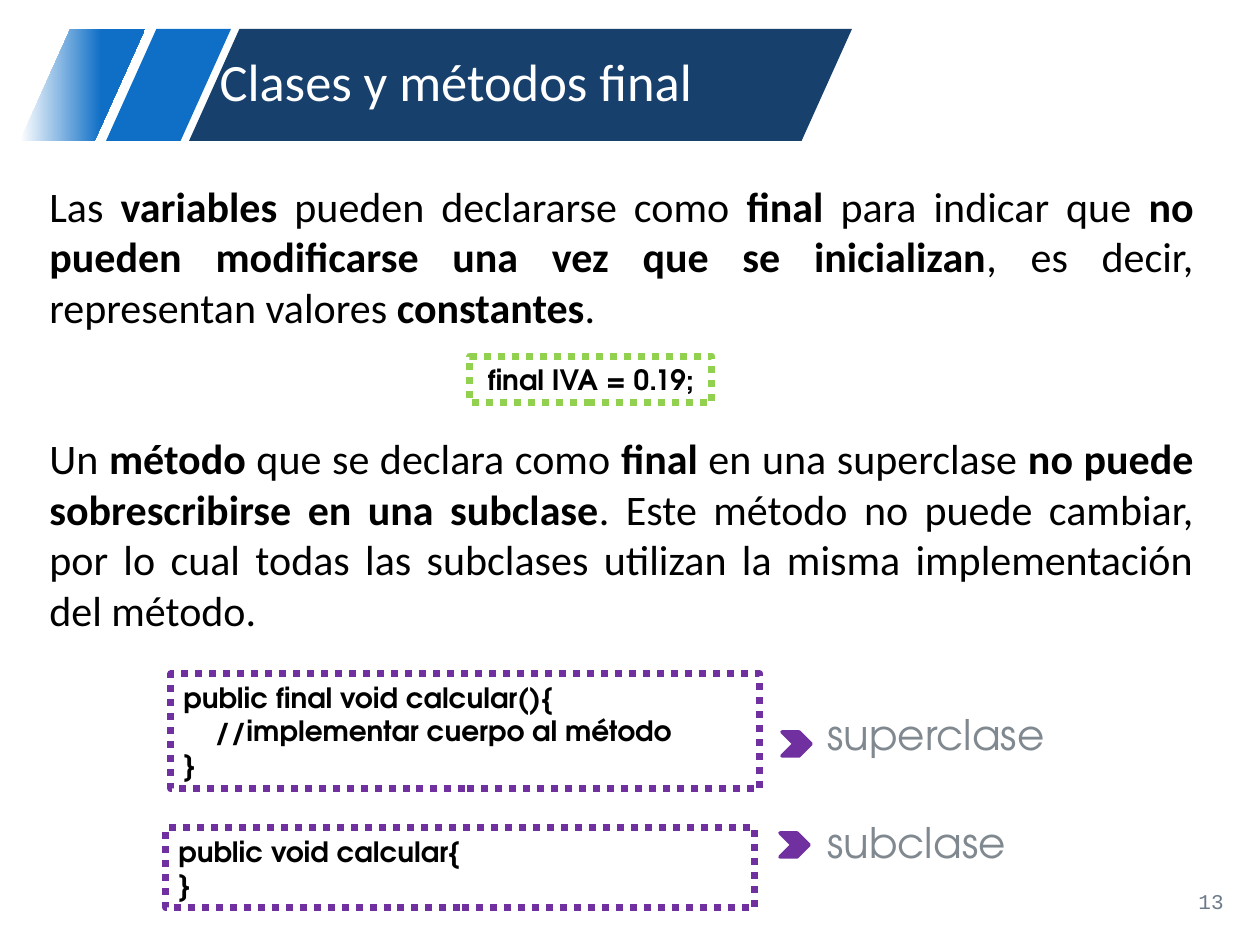
"""Build the slide on final classes and methods."""
from pptx import Presentation
from pptx.dml.color import RGBColor
from pptx.enum.dml import MSO_LINE
from pptx.enum.shapes import MSO_SHAPE
from pptx.enum.text import MSO_ANCHOR, MSO_AUTO_SIZE, PP_ALIGN
from pptx.util import Emu, Pt

SLANT, RECT, ARROW = MSO_SHAPE.PARALLELOGRAM, MSO_SHAPE.RECTANGLE, MSO_SHAPE.CHEVRON
LEFT, MID, RIGHT, JUST = PP_ALIGN.LEFT, PP_ALIGN.CENTER, PP_ALIGN.RIGHT, PP_ALIGN.JUSTIFY
DOTS = MSO_LINE.ROUND_DOT
SCALE = 914400 / 126
SANS, MONO, CODE = "Calibri", "Courier New", "TeX Gyre Adventor"
WHITE, BLACK, BLUE, NAVY = "FFFFFF", "000000", "0F6FC6", "17406D"
GREEN, PURPLE, GRAY, SLATE = "92D050", "7030A0", "818990", "6C7A8A"

TITLE = "Clases y métodos final"
BODY = [
    "Las *variables* pueden declararse como *final* para indicar que "
    "*no pueden modificarse una vez que se inicializan*, es decir, "
    "representan valores *constantes*.",
    "Un *método* que se declara como *final* en una superclase "
    "*no puede sobrescribirse en una subclase*. Este método no puede cambiar, "
    "por lo cual todas las subclases utilizan la misma implementación del método.",
]
ROLES = ["superclase", "subclase"]
BANDS = [(106, 125, BLUE), (20, 125, None), (189, 663, NAVY)]
CODES = [
    ((470, 356, 242, 47), GREEN, MID, ["*final IVA = 0.19;*"]),
    ((171, 674, 589, 115), PURPLE, LEFT, [
        "*public final void calcular(){*",
        "*    //implementar cuerpo al método*",
        "*}*",
    ]),
    ((166, 828, 589, 80), PURPLE, LEFT, ["*public void calcular{*", "*}*"]),
]
ARROWS = [(782, 732), (780, 833)]


def px(n):
    return Emu(round(n * SCALE))


def color(code):
    return RGBColor.from_string(code)


def paint(fill, code):
    fill.solid()
    fill.fore_color.rgb = color(code)


def write(frame, paras, size, font, code, align=LEFT, gap=0):
    """Fill a frame with paragraphs in which asterisks switch bold on and off."""
    for i, text in enumerate(paras):
        para = frame.add_paragraph() if i else frame.paragraphs[0]
        para.alignment = align
        para.space_before = Pt(gap if i else 0)
        for j, part in enumerate(text.split("*")):
            if part:
                run = para.add_run()
                run.text = part
                run.font.size, run.font.name = Pt(size), font
                run.font.bold = j % 2 == 1
                run.font.color.rgb = color(code)


def add_form(slide, kind, box):
    form = slide.shapes.add_shape(kind, *map(px, box))
    form.shadow.inherit = False
    return form


def add_text(slide, box, wrap=True):
    frame = slide.shapes.add_textbox(*map(px, box)).text_frame
    frame.word_wrap = wrap
    return frame


def add_bands(slide):
    for left, width, code in BANDS:
        band = add_form(slide, SLANT, (left, 29, width, 112))
        band.adjustments[0] = 0.45
        band.line.fill.background()
        if code:
            paint(band.fill, code)
            continue
        band.fill.gradient()
        band.fill.gradient_angle = 0
        for stop, tint, place in zip(band.fill.gradient_stops, (WHITE, BLUE), (0, 0.65)):
            stop.color.rgb, stop.position = color(tint), place
    return band


def add_title(slide, band):
    title = slide.shapes.title
    title.left, title.top, title.width, title.height = map(px, (207, 29, 643, 112))
    band._element.addnext(title._element)
    frame = title.text_frame
    frame.auto_size = MSO_AUTO_SIZE.NONE
    frame.vertical_anchor = MSO_ANCHOR.MIDDLE
    write(frame, [TITLE], 30, SANS, WHITE)
    frame.paragraphs[0].line_spacing = 0.9


def add_codes(slide):
    for box, code, align, lines in CODES:
        form = add_form(slide, RECT, box)
        form.fill.background()
        paint(form.line.fill, code)
        form.line.width, form.line.dash_style = Pt(4), DOTS
        form.text_frame.vertical_anchor = MSO_ANCHOR.TOP
        write(form.text_frame, lines, 16, CODE, BLACK, align)


def add_arrows(slide):
    for left, top in ARROWS:
        form = add_form(slide, ARROW, (left, top, 29, 24))
        paint(form.fill, PURPLE)
        paint(form.line.fill, PURPLE)
        form.line.width = Pt(2)


def main():
    deck = Presentation()
    deck.slide_width, deck.slide_height = px(1260), px(945)
    slide = deck.slides.add_slide(deck.slide_layouts[5])
    add_title(slide, add_bands(slide))
    number = add_text(slide, (953, 876, 283, 50))
    number.vertical_anchor = MSO_ANCHOR.MIDDLE
    write(number, ["13"], 12, MONO, SLATE, RIGHT)
    write(add_text(slide, (37, 174, 1169, 471)), BODY, 24, SANS, BLACK, JUST, 58)
    add_codes(slide)
    write(add_text(slide, (815, 702, 246, 174), False), ROLES, 24, CODE, GRAY, LEFT, 33)
    add_arrows(slide)
    deck.save("out.pptx")


if __name__ == "__main__":
    main()
